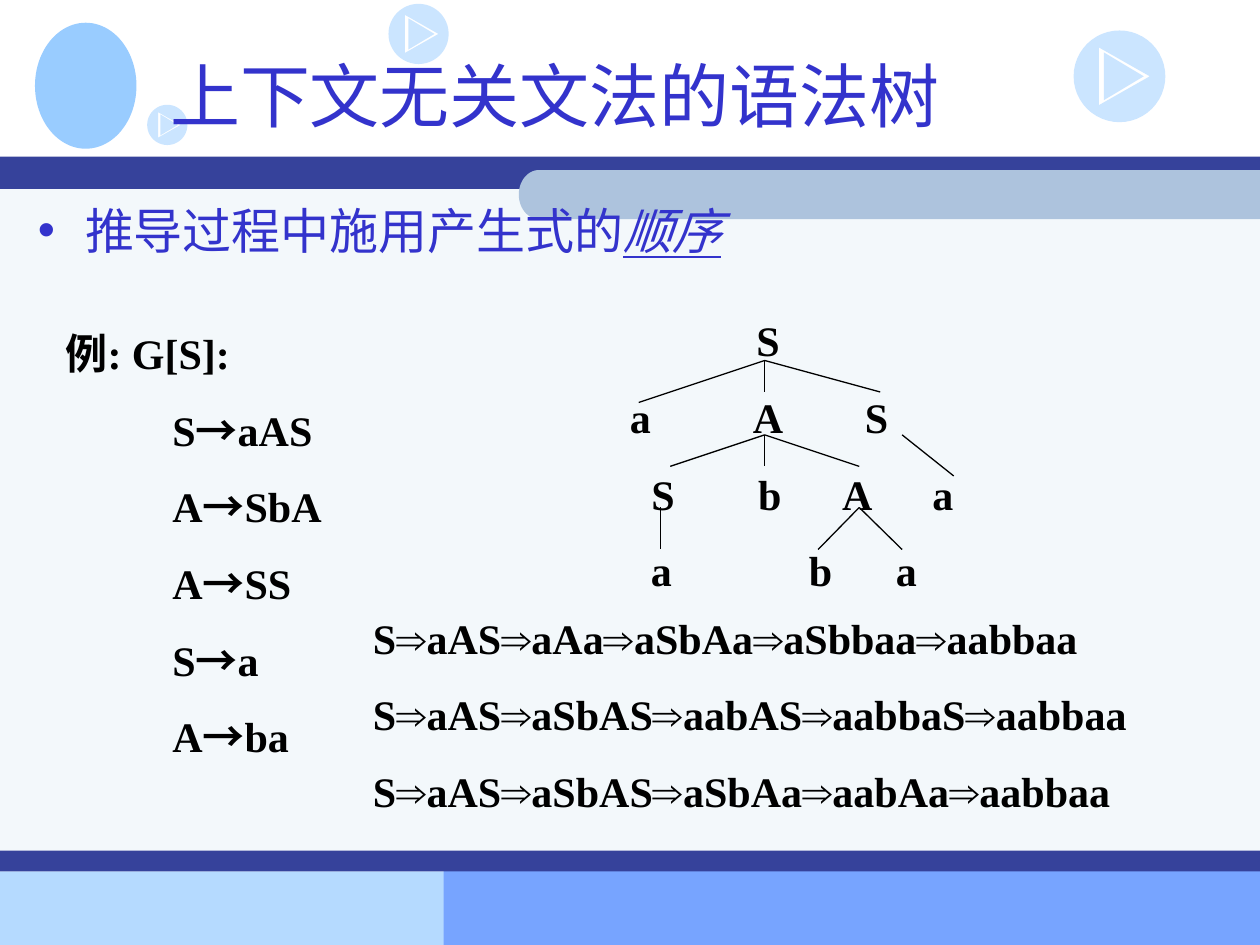
from itertools import groupby
from math import cos, pi, sin

from lxml.etree import SubElement
from pptx import Presentation
from pptx.dml.color import RGBColor
from pptx.enum.shapes import MSO_CONNECTOR, MSO_SHAPE
from pptx.enum.text import MSO_ANCHOR, PP_ALIGN
from pptx.oxml.ns import qn
from pptx.util import Pt

# Content
TITLE = "上下文无关文法的语法树"
TOPIC, TOPIC_KEY = "推导过程中施用产生式的", "顺序"
GRAMMAR_LABEL = "例: G[S]:"
PRODUCTIONS = ["S→aAS", "A→SbA", "A→SS", "S→a", "A→ba"]
DERIVATIONS = [
    "S⇒aAS⇒aAa⇒aSbAa⇒aSbbaa⇒aabbaa",
    "S⇒aAS⇒aSbAS⇒aabAS⇒aabbaS⇒aabbaa",
    "S⇒aAS⇒aSbAS⇒aSbAa⇒aabAa⇒aabbaa",
]
# Each tree level: (symbol, horizontal centre)
TREE_LEVELS = [
    [("S", 439)],
    [("a", 366), ("A", 439), ("S", 501)],
    [("S", 379), ("b", 440), ("A", 490), ("a", 539)],
    [("a", 378), ("b", 469), ("a", 518)],
]
# Each branch point with the ends of its branches
TREE_BRANCHES = {
    (437, 206): [(437, 224), (365, 230), (503, 224)],
    (437, 248.5): [(437, 266.5), (383, 266.5), (491, 266.5)],
    (515.5, 248.5): [(545, 272)],
    (377.5, 290): [(377.5, 314)],
    (491, 290): [(467.5, 314), (515.5, 314)],
}

# Background: (left, top, width, height, colour)
BANDS = [
    (0, 498, 306, 42, "B5DAFF"),
    (253.5, 497.5, 466.5, 42.5, "77A4FF"),
    (0, 101, 720, 396.5, "F3F8FB"),
    (0, 89.5, 720, 18.5, "36429B"),
    (0, 486, 720, 12, "36429B"),
]
PLAY_ICONS = [(239.2, 19.4, 17.2), (639.7, 43.6, 26.2), (95.6, 71.4, 11.5)]
PLAY_OUTER = [(-0.45, -0.63), (-0.45, 0.63), (0.66, 0)]
PLAY_INNER = [(-0.34, -0.52), (0.53, 0), (-0.34, 0.52)]

BLUE, SKY, BLACK = "3333CC", "99CCFF", "000000"
SERIF, CHINESE = "Times New Roman", "Noto Sans CJK SC"
SYMBOL_FONTS = {"→": CHINESE, "⇒": "Arial"}
INSET = 7.2


def color(value):
    return RGBColor.from_string(value)


def add_text(paragraph, text, size=24, font=SERIF, fill=BLACK, bold=False,
             italic=False, underline=False):
    """Add runs, giving each symbol in SYMBOL_FONTS its own font."""
    for name, letters in groupby(text, lambda letter: SYMBOL_FONTS.get(letter, font)):
        run = paragraph.add_run()
        run.text = "".join(letters)
        run.font.size = Pt(size)
        run.font.name = name
        run.font.bold = bold
        run.font.italic = italic
        run.font.underline = underline
        run.font.color.rgb = color(fill)
        east_asian = SubElement(run.font._element if hasattr(run.font, "_element")
                                else run._r.get_or_add_rPr(), qn("a:ea"))
        east_asian.set("typeface", CHINESE)


def style_shape(shape, fill, alpha=None):
    shape.shadow.inherit = False
    shape.fill.solid()
    shape.fill.fore_color.rgb = color(fill)
    shape.line.fill.background()
    if alpha is not None:
        fill_color = shape.element.spPr.find(qn("a:solidFill"))[0]
        SubElement(fill_color, qn("a:alpha")).set("val", str(alpha * 1000))


def place(shape, left, top, width, height):
    shape.left, shape.top = Pt(left), Pt(top)
    shape.width, shape.height = Pt(width), Pt(height)


def arc(x, y, radius_x, radius_y, start, end, steps=48):
    angles = [start + (end - start) * step / steps for step in range(steps + 1)]
    return [(x + radius_x * cos(angle), y + radius_y * sin(angle)) for angle in angles]


def add_outline(shapes, contours, fill, alpha=None):
    contours = [[(Pt(x), Pt(y)) for x, y in contour] for contour in contours]
    builder = shapes.build_freeform(*contours[0][0])
    builder.add_line_segments(contours[0][1:])
    for contour in contours[1:]:
        builder.move_to(*contour[0])
        builder.add_line_segments(contour[1:])
    style_shape(builder.convert_to_shape(), fill, alpha)


def add_lines(shapes, left, top, width, height, count):
    """Add a text box and return its evenly spaced paragraphs."""
    box = shapes.add_textbox(Pt(left), Pt(top), Pt(width), Pt(height))
    frame = box.text_frame
    frame.word_wrap = True
    paragraphs = [frame.paragraphs[0]] + [frame.add_paragraph() for _ in range(count - 1)]
    for index, paragraph in enumerate(paragraphs):
        paragraph.line_spacing = Pt(28.8)
        paragraph.space_before = Pt(15 if index else 0)
    return paragraphs


def main():
    presentation = Presentation()
    presentation.slide_width, presentation.slide_height = Pt(720), Pt(540)
    slide = presentation.slides.add_slide(presentation.slide_layouts[1])
    shapes = slide.shapes

    # Background bands, emblem and play icons
    for *bounds, fill in BANDS:
        band = shapes.add_shape(MSO_SHAPE.RECTANGLE, *map(Pt, bounds))
        style_shape(band, fill)
    tab_end = arc(308, 111.2, 11.5, 14, 1.5 * pi, 0.5 * pi)
    add_outline(shapes, [[(720, 97.2), *tab_end, (720, 125.2), (720, 97.2)]], "ADC3DD")
    emblem = shapes.add_shape(MSO_SHAPE.OVAL, Pt(20), Pt(13), Pt(58), Pt(72))
    style_shape(emblem, SKY)
    for x, y, radius in PLAY_ICONS:
        triangles = [[(x + radius * dx, y + radius * dy) for dx, dy in points + points[:1]]
                     for points in (PLAY_OUTER, PLAY_INNER)]
        add_outline(shapes, [arc(x, y, radius, radius, 0, 2 * pi), *triangles], SKY, 50)

    # Title and topic, in front of the background
    title, body = shapes.title, slide.placeholders[1]
    for placeholder in (title, body):
        placeholder.element.getparent().append(placeholder.element)
    place(title, 90, 12, 612, 84)
    title.text_frame.vertical_anchor = MSO_ANCHOR.MIDDLE
    heading = title.text_frame.paragraphs[0]
    heading.alignment = PP_ALIGN.LEFT
    add_text(heading, TITLE, size=40, font=CHINESE, fill=BLUE)

    place(body, 14.4, 111, 692, 357)
    topic = body.text_frame.paragraphs[0]
    properties = topic._p.get_or_add_pPr()
    properties.set("marL", str(Pt(27)))
    properties.set("indent", str(-Pt(27)))
    bullet_color = SubElement(properties, qn("a:buClr"))
    SubElement(bullet_color, qn("a:srgbClr")).set("val", BLUE)
    SubElement(properties, qn("a:buChar")).set("char", "•")
    topic.space_before = Pt(0)
    add_text(topic, TOPIC, size=28, fill=BLUE)
    add_text(topic, TOPIC_KEY, size=28, fill=BLUE, italic=True, underline=True)

    # Grammar
    grammar = [GRAMMAR_LABEL, *PRODUCTIONS]
    paragraphs = add_lines(shapes, 19.4, 183.6, 186, 255, len(grammar))
    for index, (paragraph, text) in enumerate(zip(paragraphs, grammar)):
        paragraph._p.get_or_add_pPr().set("marL", str(Pt(72 if index else 11)))
        add_text(paragraph, text, bold=True)

    # Syntax tree: symbols on centred tab stops, then branches
    tree_left = 275
    paragraphs = add_lines(shapes, tree_left, 176.4, 330, 168, len(TREE_LEVELS))
    for paragraph, level in zip(paragraphs, TREE_LEVELS):
        tabs = SubElement(paragraph._p.get_or_add_pPr(), qn("a:tabLst"))
        for _, center in level:
            tab = SubElement(tabs, qn("a:tab"))
            tab.set("pos", str(Pt(center - tree_left - INSET)))
            tab.set("algn", "ctr")
        add_text(paragraph, "".join("\t" + symbol for symbol, _ in level), bold=True)
    for start, ends in TREE_BRANCHES.items():
        for end in ends:
            branch = shapes.add_connector(MSO_CONNECTOR.STRAIGHT, *map(Pt, start + end))
            branch.line.color.rgb = color(BLACK)
            branch.line.width = Pt(0.75)
            SubElement(branch.element.spPr, qn("a:effectLst"))

    # Derivations
    paragraphs = add_lines(shapes, 206, 346.3, 492, 124, len(DERIVATIONS))
    for paragraph, text in zip(paragraphs, DERIVATIONS):
        add_text(paragraph, text, bold=True)

    presentation.save("out.pptx")


if __name__ == "__main__":
    main()
